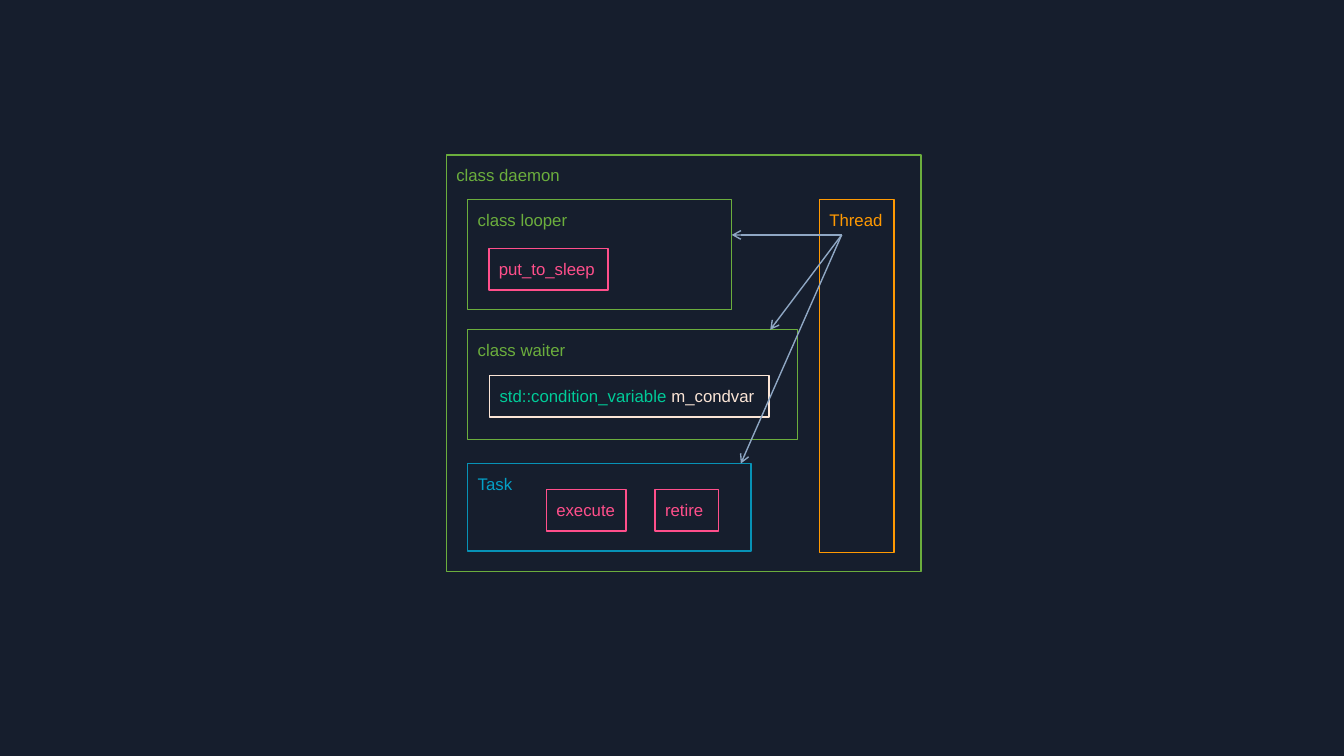
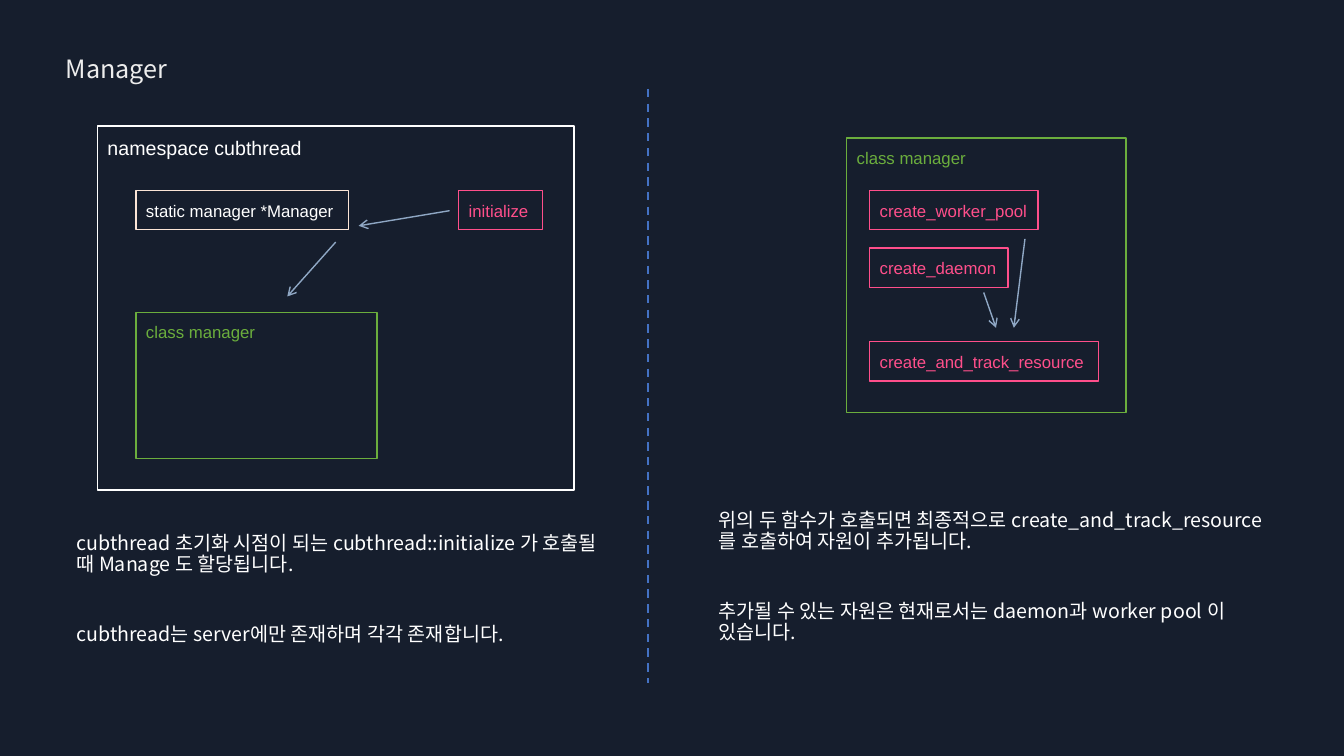
from lxml.etree import SubElement
from pptx import Presentation
from pptx.dml.color import RGBColor
from pptx.enum.dml import MSO_LINE
from pptx.enum.shapes import MSO_CONNECTOR as Link, MSO_SHAPE as Shape
from pptx.enum.text import MSO_ANCHOR as Anchor, PP_ALIGN as Align
from pptx.oxml.ns import qn
from pptx.util import Cm, Pt

NAVY = RGBColor(0x16, 0x1E, 0x2D)
GREEN = RGBColor(0x6B, 0xAE, 0x3D)
ORANGE = RGBColor(0xFF, 0x99, 0x02)
BLUE = RGBColor(0x07, 0x92, 0xB6)
CYAN = RGBColor(0x04, 0xA0, 0xC7)
TEAL = RGBColor(0x00, 0xCC, 0x99)
PEACH = RGBColor(0xFB, 0xE5, 0xD6)
PINK = RGBColor(0xFF, 0x4F, 0x8B)
STEEL = RGBColor(0x8F, 0xA7, 0xC4)
ROYAL = RGBColor(0x44, 0x72, 0xC4)
PALE = RGBColor(0xED, 0xED, 0xED)
WHITE = RGBColor(0xFF, 0xFF, 0xFF)
LATIN = "Arial"
HANGUL = "Noto Sans CJK KR"
INSET = Cm(0.25)


def box(shapes, text, x, y, w, h, line, ink=None, size=12):
    """Draw an outlined box labelled at its top left; return the label."""
    rect = shapes.add_shape(Shape.RECTANGLE, Cm(x), Cm(y), Cm(w), Cm(h))
    rect.shadow.inherit = False
    rect.fill.background()
    rect.line.color.rgb = line
    rect.line.width = Pt(1)
    frame = rect.text_frame
    frame.vertical_anchor = Anchor.TOP
    frame.margin_left = frame.margin_top = INSET
    frame.margin_right = 0
    label = frame.paragraphs[0]
    label.text = text
    label.alignment = Align.LEFT
    label.font.name = LATIN
    label.font.size = Pt(size)
    label.font.color.rgb = ink or line
    return label


def link(shapes, x1, y1, x2, y2, color=STEEL, width=1, arrow=True):
    """Draw a line, with an arrowhead at its end if asked; return it."""
    wire = shapes.add_connector(Link.STRAIGHT, Cm(x1), Cm(y1), Cm(x2), Cm(y2))
    wire.line.color.rgb = color
    wire.line.width = Pt(width)
    if arrow:
        SubElement(wire.line._get_or_add_ln(), qn("a:tailEnd"), type="arrow")
    SubElement(wire._element.spPr, qn("a:effectLst"))
    return wire


deck = Presentation()
deck.slide_width, deck.slide_height = Cm(33.87), Cm(19.05)
paint = deck.slide_master.background.fill
paint.solid()
paint.fore_color.rgb = NAVY

# Daemon slide
shapes = deck.slides.add_slide(deck.slide_layouts[6]).shapes
LEFT, ROW = 11.79, 1.04
box(shapes, "class daemon", 11.25, 3.91, 11.96, 10.49, GREEN)
box(shapes, "Thread", 20.65, 5.03, 1.88, 8.89, ORANGE)
box(shapes, "Task", LEFT, 11.68, 7.14, 2.21, BLUE, CYAN)
box(shapes, "class waiter", LEFT, 8.31, 8.31, 2.77, GREEN)
label = box(shapes, "std::condition_variable ", 12.34, 9.47, 7.04, ROW, PEACH, TEAL)
member = label.add_run()
member.text = "m_condvar"
member.font.color.rgb = PEACH
box(shapes, "class looper", LEFT, 5.03, 6.65, 2.77, GREEN)
for text, x, y, w in (
    ("put_to_sleep", 12.32, 6.27, 3),
    ("execute", 13.77, 12.34, 2.01),
    ("retire", 16.51, 12.34, 1.6),
):
    box(shapes, text, x, y, w, ROW, PINK)
for x, y in ((18.44, 5.92), (19.41, 8.31), (18.67, 11.68)):
    link(shapes, 21.21, 5.92, x, y)

# Manager slide
shapes = deck.slides.add_slide(deck.slide_layouts[5]).shapes
title = shapes.title
title.left, title.top, title.width, title.height = Cm(1.4), Cm(1.22), Cm(3.1), Cm(1.02)
title.text_frame.text = "Manager"
title.text_frame.vertical_anchor = Anchor.TOP
head = title.text_frame.paragraphs[0]
head.alignment = Align.LEFT
words = [(head, 18, PALE)]

TOP, ROW = 4.8, 0.99
space = shapes.add_group_shape().shapes
box(space, "namespace cubthread", 2.46, 3.18, 12.01, 9.17, WHITE, size=14)
box(space, "initialize", 11.56, TOP, 2.11, ROW, PINK)
box(space, "class manager", 3.43, 7.87, 6.07, 3.68, GREEN)
box(space, "static manager *Manager", 3.43, TOP, 5.36, ROW, PEACH, WHITE)
link(space, 11.33, 5.31, 9.04, 5.69)
link(space, 8.46, 6.1, 7.24, 7.47)

split = link(shapes, 16.33, 2.24, 16.33, 17.2, ROYAL, 1.5, arrow=False)
split.line.dash_style = MSO_LINE.DASH

box(shapes, "class manager", 21.34, 3.48, 7.04, 6.91, GREEN)
for text, y, w in (
    ("create_worker_pool", TOP, 4.24),
    ("create_daemon", 6.25, 3.48),
    ("create_and_track_resource", 8.61, 5.77),
):
    box(shapes, text, 21.92, y, w, ROW, PINK)
link(shapes, 25.83, 6.02, 25.55, 8.26)
link(shapes, 24.79, 7.37, 25.1, 8.26)

for x, y, w, h, first, second in (
    (17.86, 12.73, 14.48, 3.76,
     "위의 두 함수가 호출되면 최종적으로 create_and_track_resource를 호출하여 자원이 추가됩니다.",
     "추가될 수 있는 자원은 현재로서는 daemon과 worker pool 이 있습니다."),
    (1.68, 13.31, 13.72, 4.19,
     "cubthread 초기화 시점이 되는 cubthread::initialize 가 호출될 때 Manage 도 할당됩니다.",
     "cubthread는 server에만 존재하며 각각 존재합니다."),
):
    frame = shapes.add_textbox(Cm(x), Cm(y), Cm(w), Cm(h)).text_frame
    frame.word_wrap = True
    frame.text = f"{first}\n{second}"
    for para in frame.paragraphs:
        para.line_spacing = 0.9
        words.append((para, 14, WHITE))
    frame.paragraphs[1].space_before = Pt(35)

for para, size, ink in words:
    para.font.size = Pt(size)
    para.font.color.rgb = ink
    para.font.name = HANGUL
    style = para._p.pPr.find(qn("a:defRPr"))
    SubElement(style, qn("a:ea"), typeface=HANGUL)

deck.save("out.pptx")
